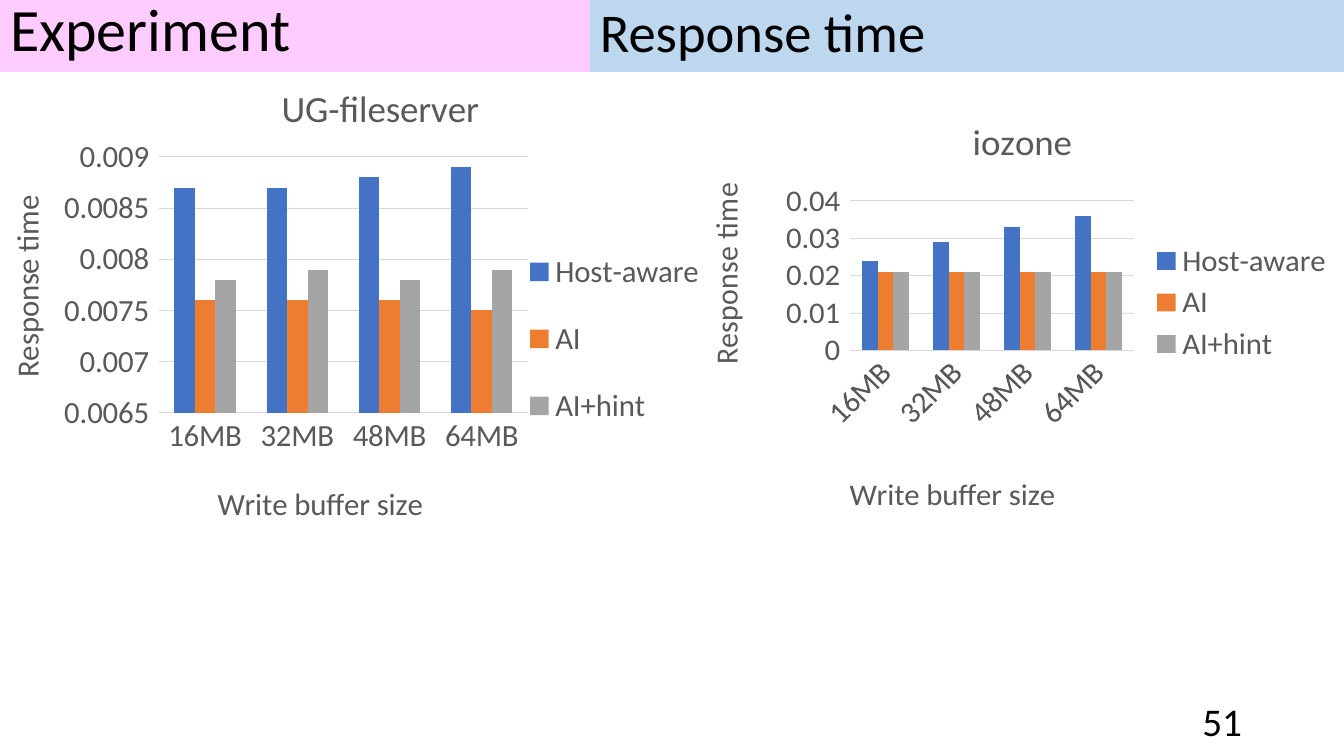
from lxml.etree import SubElement
from pptx import Presentation
from pptx.chart.data import CategoryChartData
from pptx.dml.color import RGBColor
from pptx.enum.chart import XL_CHART_TYPE, XL_LEGEND_POSITION, XL_TICK_MARK
from pptx.enum.text import MSO_ANCHOR, MSO_AUTO_SIZE, PP_ALIGN
from pptx.oxml import parse_xml
from pptx.oxml.ns import nsdecls, qn
from pptx.util import Pt

SCALE = 914400 / 100.8
FONT = "Calibri"
GREY = "595959"
GRID = "D9D9D9"
SIZES = ["16MB", "32MB", "48MB", "64MB"]
COLORS = ["4472C4", "ED7D31", "A5A5A5"]


def px(n):
    """Turn pixels into EMU."""
    return round(n * SCALE)


def rgb(value):
    """Turn a hex string into a colour."""
    return RGBColor.from_string(value)


def style(font, size, color):
    """Set the typeface, size and colour of a font."""
    font.name, font.size, font.bold = FONT, Pt(size), False
    font.color.rgb = rgb(color)


def place(sp, box):
    """Put a shape into a pixel box."""
    sp.left, sp.top, sp.width, sp.height = map(px, box)


def write(sp, text, size, anchor, align=PP_ALIGN.LEFT, spacing=None):
    """Write one line of black text into a shape."""
    tf = sp.text_frame
    tf.word_wrap, tf.auto_size = True, MSO_AUTO_SIZE.NONE
    tf.vertical_anchor = anchor
    p = tf.paragraphs[0]
    p.alignment, p.line_spacing = align, spacing
    r = p.add_run()
    r.text = text
    style(r.font, size, "000000")


def band(sp, box, color):
    """Place a filled heading band."""
    place(sp, box)
    sp.fill.solid()
    sp.fill.fore_color.rgb = rgb(color)


def arrange(element, box, frame):
    """Fix a chart part at a pixel box inside the chart frame."""
    for old in element.findall(qn("c:layout")):
        element.remove(old)
    layout = parse_xml(f"<c:layout {nsdecls('c')}/>")
    manual = SubElement(layout, qn("c:manualLayout"))
    if element.tag == qn("c:plotArea"):
        SubElement(manual, qn("c:layoutTarget")).set("val", "inner")
    for mode in ("xMode", "yMode"):
        SubElement(manual, qn(f"c:{mode}")).set("val", "edge")
    for i, (key, length) in enumerate(zip("xywh", box)):
        SubElement(manual, qn(f"c:{key}")).set("val", f"{length / frame[2 + i % 2]:.4f}")
    overlay = element.find(qn("c:overlay"))
    if overlay is None:
        element.insert(0, layout)
    else:
        overlay.addprevious(layout)


def add_title(title, text, size, spot, frame):
    """Write and place a chart or axis title."""
    r = title.text_frame.paragraphs[0].add_run()
    r.text = text
    style(r.font, size, GREY)
    arrange(title._element, spot, frame)


def response_chart(s, frame, title, rows, scale, parts, label_turn=0):
    """Draw one response time chart in its frame."""
    data = CategoryChartData()
    data.categories = SIZES
    for name, values in zip(["Host-aware", "AI", "AI+hint"], rows):
        data.add_series(name, values)
    chart = s.shapes.add_chart(
        XL_CHART_TYPE.COLUMN_CLUSTERED, *map(px, frame), data).chart
    style(chart.font, 22, GREY)
    chart.has_title = True
    add_title(chart.chart_title, title, 26.4, parts["title"], frame)

    plot = chart.plots[0]
    plot.gap_width, plot.overlap, plot.vary_by_categories = 150, 0, False
    for series, color in zip(plot.series, COLORS):
        series.smooth = False if hasattr(series, "smooth") else None
        series.format.fill.solid()
        series.format.fill.fore_color.rgb = rgb(color)
    arrange(chart._chartSpace.chart.plotArea, parts["plot"], frame)

    cat, val = chart.category_axis, chart.value_axis
    for axis, text, key in ((cat, "Write buffer size", "cat"),
                            (val, "Response time", "val")):
        style(axis.tick_labels.font, 22, GREY)
        add_title(axis.axis_title, text, 22, parts[key], frame)
    val.axis_title.text_frame._txBody.bodyPr.set("rot", "-5400000")
    cat.major_tick_mark = XL_TICK_MARK.NONE
    if label_turn:
        cat._element.find(qn("c:txPr")).bodyPr.set("rot", str(label_turn * 60000))
    val.minimum_scale, val.maximum_scale, val.major_unit = scale
    val.format.line.fill.background()
    val.tick_labels.number_format = "General"
    val.tick_labels.number_format_is_linked = False
    for line in (cat.format.line, val.major_gridlines.format.line):
        line.color.rgb, line.width = rgb(GRID), Pt(0.75)

    chart.has_legend = True
    chart.legend.position = XL_LEGEND_POSITION.RIGHT
    chart.legend.include_in_layout = False
    style(chart.legend.font, 22, GREY)
    arrange(chart.legend._element, parts["legend"], frame)


def header(s):
    """Draw the title and the topic band beside it."""
    title = s.shapes.title
    band(title, (0, 0, 1344, 72), "FFCCFF")
    write(title, "Experiment", 42.9, MSO_ANCHOR.TOP, spacing=0.8)
    topic = s.shapes.add_textbox(0, 0, 0, 0)
    band(topic, (590, -3, 754, 75), "BDD7EE")
    write(topic, "Response time", 39, MSO_ANCHOR.MIDDLE, spacing=0.9)


def page_number(s):
    """Write the page number at the lower right."""
    sp = s.shapes.add_textbox(*map(px, (950, 701, 302, 40)))
    write(sp, "51", 28, MSO_ANCHOR.MIDDLE, PP_ALIGN.RIGHT)


def main():
    """Build and save the slide."""
    prs = Presentation()
    prs.slide_width, prs.slide_height = px(1344), px(756)
    s = prs.slides.add_slide(prs.slide_layouts[5])
    header(s)
    response_chart(
        s, (0, 72, 713, 484), "UG-fileserver",
        [(0.0087, 0.0087, 0.0088, 0.0089),
         (0.0076, 0.0076, 0.0076, 0.0075),
         (0.0078, 0.0079, 0.0078, 0.0079)],
        (0.0065, 0.009, 0.0005),
        {"title": (275, 5), "plot": (159, 85, 369, 256), "cat": (212, 405),
         "val": (0, 118), "legend": (520, 152, 189, 230)})
    response_chart(
        s, (699, 97, 645, 426), "iozone",
        [(0.024, 0.029, 0.033, 0.036),
         (0.021, 0.021, 0.021, 0.021),
         (0.021, 0.021, 0.021, 0.021)],
        (0, 0.04, 0.01),
        {"title": (267, 14), "plot": (151, 107, 284, 154), "cat": (145, 382),
         "val": (0, 88), "legend": (448, 145, 189, 133)}, label_turn=-45)
    page_number(s)
    prs.save("out.pptx")


if __name__ == "__main__":
    main()
